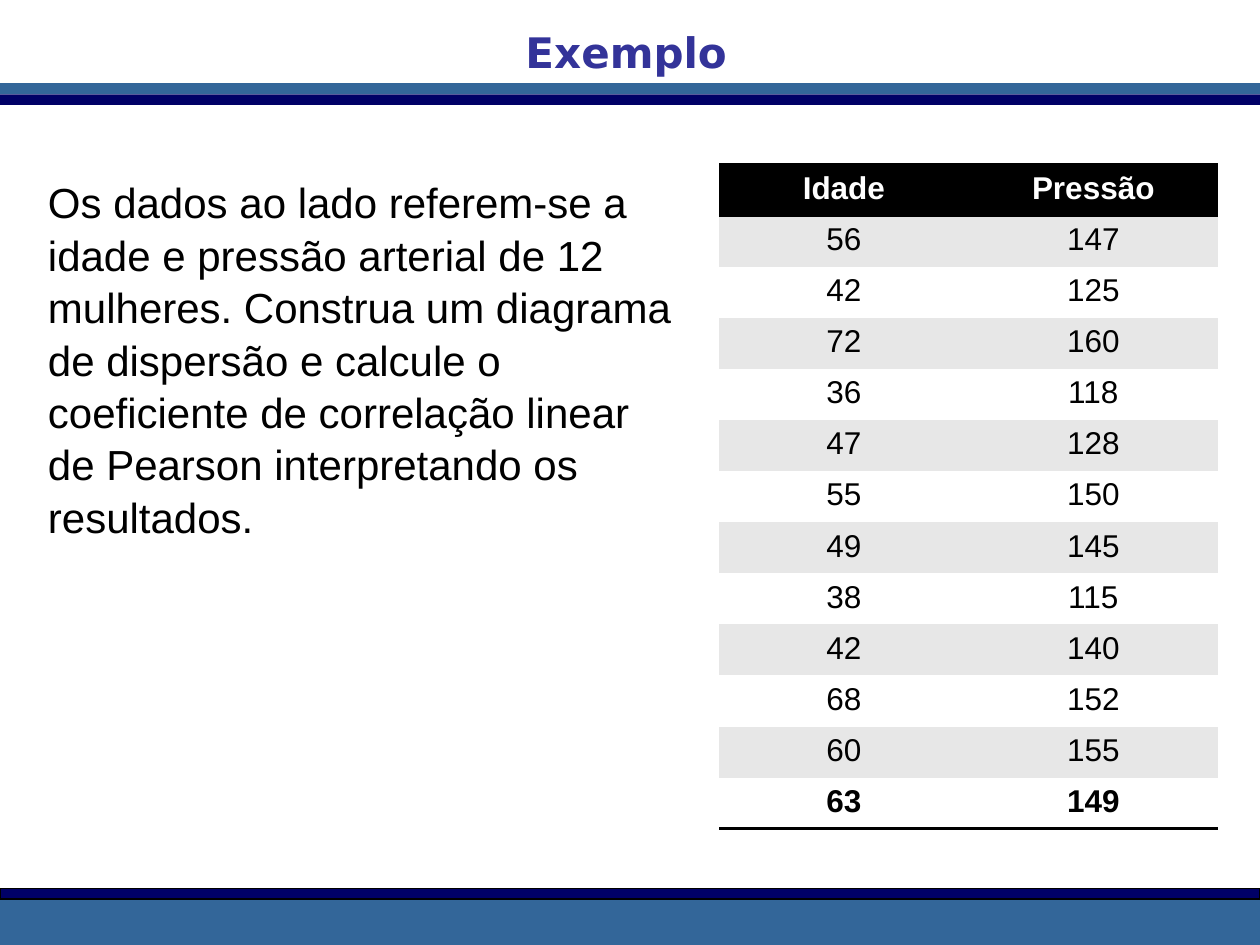
import pptx
import pptx.util
import pptx.dml.color
import pptx.enum.shapes
import pptx.enum.text
import pptx.oxml
import pptx.oxml.ns

Pt = pptx.util.Pt
RGB = pptx.dml.color.RGBColor.from_string
ALIGN = pptx.enum.text.PP_ALIGN
ANCHOR = pptx.enum.text.MSO_ANCHOR

THEME = {
    "steel": "336699", "navy": "000066", "title": "333399",
    "black": "000000", "white": "FFFFFF", "stripe": "E7E7E7",
    "head_font": "DejaVu Sans", "body_font": "Arial",
    "text_size": 24, "table_size": 18,
}


def write(tf, text, font, size, color, bold=False, align=ALIGN.LEFT):
    p = tf.paragraphs[0]
    for name, value in {"alignment": align, "space_before": Pt(0)}.items():
        setattr(p, name, value)
    r = p.add_run()
    r.text = text
    for name, value in {"name": font, "size": Pt(size), "bold": bold}.items():
        setattr(r.font, name, value)
    r.font.color.rgb = RGB(THEME[color])
    return p


def add_border(cell, side):
    ln = pptx.oxml.parse_xml(
        f'<a:{side} {pptx.oxml.ns.nsdecls("a")} w="{Pt(2)}"><a:solidFill>'
        f'<a:srgbClr val="{THEME["black"]}"/></a:solidFill></a:{side}>')
    cell._tc.get_or_add_tcPr().insert(0, ln)


prs = pptx.Presentation()
prs.slide_width, prs.slide_height = Pt(720), Pt(540)
s = prs.slides.add_slide(prs.slide_layouts[1])

bands = [
    (48, 720, 6, "steel", "steel"),
    (54, 720, 12, "white", "white"),
    (54, 722, 6, "navy", None),
    (514, 720, 26, "steel", None),
    (507.8, 720, 6, "navy", "black"),
]
for top, width, height, fill, line in bands:
    sp = s.shapes.add_shape(pptx.enum.shapes.MSO_SHAPE.RECTANGLE,
                            Pt(0), Pt(top), Pt(width), Pt(height))
    sp.shadow.inherit = False
    sp.fill.solid()
    sp.fill.fore_color.rgb = RGB(THEME[fill])
    if line:
        sp.line.color.rgb = RGB(THEME[line])
        sp.line.width = Pt(0.75)
    else:
        sp.line.fill.background()

title, body = s.placeholders
frames = [
    (title, (292.3, 11.5, 131, 36), False, ANCHOR.MIDDLE, 3.6),
    (body, (20.2, 94.3, 375.8, 226.8), True, ANCHOR.TOP, 5.6),
]
for sp, box, wrap, anchor, inset in frames:
    for name, value in zip(("left", "top", "width", "height"), box):
        setattr(sp, name, Pt(value))
    tf = sp.text_frame
    fmt = {"word_wrap": wrap, "vertical_anchor": anchor, "margin_top": Pt(inset),
           "auto_size": pptx.enum.text.MSO_AUTO_SIZE.NONE}
    for name, value in fmt.items():
        setattr(tf, name, value)

write(title.text_frame, "Exemplo", THEME["head_font"], THEME["text_size"],
      "title", True, ALIGN.CENTER)
p = write(body.text_frame,
          "Os dados ao lado referem-se a idade e pressão arterial de 12 mulheres. "
          "Construa um diagrama de dispersão e calcule o coeficiente de correlação "
          "linear de Pearson interpretando os resultados.",
          THEME["body_font"], THEME["text_size"], "black")
p.line_spacing = 1.04
pPr = p._p.get_or_add_pPr()
pPr.set("marL", "0")
pPr.set("indent", "0")
pPr.append(pptx.oxml.parse_xml(f'<a:buNone {pptx.oxml.ns.nsdecls("a")}/>'))

rows = [
    ("Idade", "Pressão"),
    (56, 147), (42, 125), (72, 160), (36, 118), (47, 128), (55, 150),
    (49, 145), (38, 115), (42, 140), (68, 152), (60, 155), (63, 149),
]
last = len(rows) - 1
row_height = 29.2
gf = s.shapes.add_table(len(rows), 2, Pt(411), Pt(94), Pt(285),
                        Pt(row_height * len(rows)))
table = gf.table
table._tbl.tblPr.find(pptx.oxml.ns.qn("a:tableStyleId")).text = \
    "{2D5ABB26-0587-4C30-8999-92F81FD0307C}"
for i, values in enumerate(rows):
    table.rows[i].height = Pt(row_height)
    fill = "black" if i == 0 else "stripe" if i % 2 else "white"
    for j, value in enumerate(values):
        cell = table.cell(i, j)
        cell.fill.solid()
        cell.fill.fore_color.rgb = RGB(THEME[fill])
        write(cell.text_frame, str(value), THEME["body_font"], THEME["table_size"],
              "white" if i == 0 else "black", i in (0, last), ALIGN.CENTER)
        if i in (0, last):
            add_border(cell, "lnB")
        if i == 0:
            add_border(cell, "lnT")

prs.save("out.pptx")
